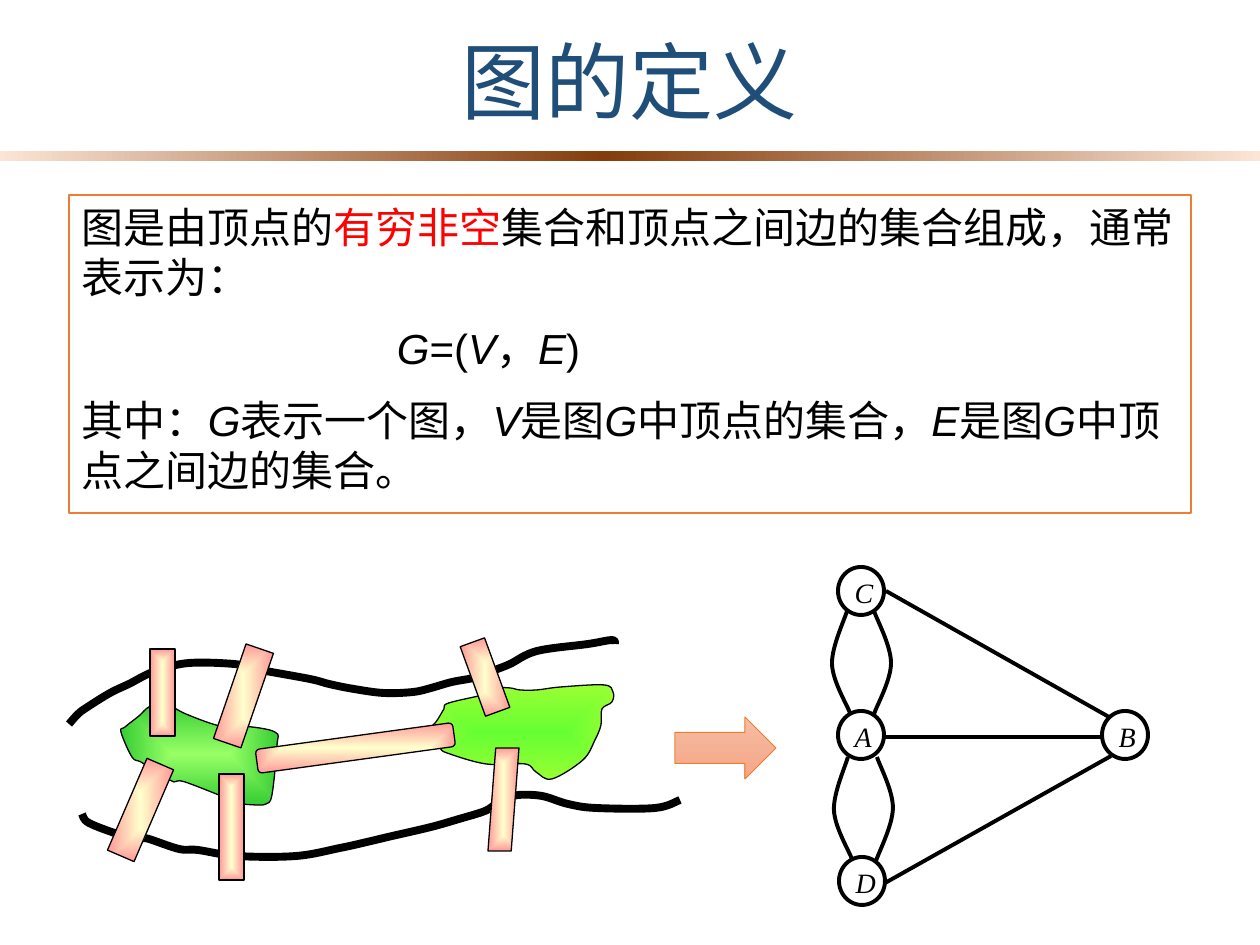
"""Build the slide that defines a graph, with the seven bridges as example."""
from dataclasses import dataclass

from lxml import etree
from pptx import Presentation
from pptx import util as u
from pptx.dml.color import RGBColor
from pptx.enum import shapes, text
from pptx.oxml import ns

UNIT = 914400 / 126
KIND = shapes.MSO_SHAPE
ALIGN = text.PP_ALIGN
ANCHOR = text.MSO_ANCHOR

BLACK = RGBColor(0x00, 0x00, 0x00)
WHITE = RGBColor(0xFF, 0xFF, 0xFF)
RED = RGBColor(0xFF, 0x00, 0x00)
NAVY = RGBColor(0x1F, 0x4E, 0x79)
ORANGE = RGBColor(0xED, 0x7D, 0x31)
PEACH = RGBColor(0xFB, 0xE5, 0xD6)
BROWN = RGBColor(0x84, 0x3C, 0x0B)
CREAM = RGBColor(0xFF, 0xFF, 0xCC)
PINK = RGBColor(0xFF, 0x99, 0x99)
LIME = RGBColor(0x99, 0xFF, 0x66)
GREEN = RGBColor(0x33, 0xCC, 0x33)
BRIGHT = RGBColor(0x66, 0xFF, 0x33)
YELLOW = RGBColor(0x99, 0xFF, 0x33)
SALMON = [(0, RGBColor(0xF7, 0xBD, 0xA5)), (50, RGBColor(0xF5, 0xB1, 0x96)),
          (100, RGBColor(0xF8, 0xA5, 0x82))]
HAN, SANS, SERIF = "Noto Sans CJK JP", "Arial", "Times New Roman"


@dataclass
class Box:
    left: int
    top: int
    wide: int
    high: int
    kind: KIND = KIND.RECTANGLE
    turn: float = 0
    bend: float | None = None


@dataclass
class Curve:
    dots: list[tuple[int, int]]
    width: float
    stops: list | None = None


@dataclass
class Node:
    name: str
    left: int
    top: int


BRIDGES = [
    Box(150, 649, 25, 87), Box(219, 774, 25, 106),
    Box(488, 748, 31, 103, KIND.PARALLELOGRAM, bend=0.25),
    Box(256, 736, 199, 24, KIND.ROUNDED_RECTANGLE, 352.2, 0.17),
    Box(126, 760, 29, 100, turn=23.3), Box(229, 646, 29, 100, turn=19),
    Box(472, 640, 26, 74, turn=160),
]
LAND = [
    Curve([(121, 732), (132, 757), (141, 762), (155, 771), (165, 777), (174, 782),
           (185, 782), (234, 801), (243, 804), (258, 805), (266, 804), (272, 795),
           (277, 746), (275, 732), (243, 726), (220, 726), (186, 714),
           (164, 703), (149, 707), (139, 716), (125, 727)],
          0.75, [(0, LIME), (100, GREEN)]),
    Curve([(69, 724), (78, 714), (86, 708), (110, 693), (131, 683), (140, 678),
           (158, 670), (189, 663), (234, 664), (255, 669), (310, 679), (329, 684),
           (354, 689), (384, 693), (413, 692), (431, 688), (452, 682), (478, 677),
           (495, 670), (510, 664), (537, 651), (588, 644), (612, 640), (615, 644)], 4.5),
    Curve([(82, 814), (89, 823), (121, 835), (140, 838), (149, 839), (179, 849),
           (198, 850), (237, 856), (296, 856), (340, 848), (367, 842), (388, 837),
           (431, 827), (459, 819), (485, 811), (496, 804), (509, 799), (518, 795),
           (542, 796), (568, 804), (596, 808), (655, 808), (680, 800)], 4.5),
    Curve([(491, 693), (449, 703), (444, 709), (436, 722), (426, 732), (427, 738),
           (440, 748), (447, 753), (486, 764), (525, 764), (536, 772), (552, 779),
           (583, 760), (595, 740), (601, 725), (602, 709), (612, 702), (613, 692),
           (604, 685), (561, 687), (537, 690), (520, 690), (510, 688), (495, 688)],
          0.75, [(0, BRIGHT), (100, YELLOW)]),
]
NODES = [Node("C", 838, 567), Node("A", 838, 711), Node("D", 839, 857), Node("B", 1102, 711)]
EDGES = [(886, 591, 1109, 717), (885, 737, 1101, 737), (885, 883, 1111, 756)]
ARCS = [
    Curve([(847, 611), (832, 664), (850, 713)], 2.25),
    Curve([(874, 611), (891, 663), (874, 714)], 2.25),
    Curve([(848, 757), (834, 810), (852, 859)], 2.25),
    Curve([(877, 757), (893, 808), (876, 861)], 2.25),
]


def px(size: float) -> int:
    return round(size * UNIT)


def blend(shape, stops: list, angle: int | None = None) -> None:
    shape.fill.gradient()
    grad = shape.element.spPr.find(ns.qn("a:gradFill"))
    for part in list(grad):
        grad.remove(part)
    row = etree.SubElement(grad, ns.qn("a:gsLst"))
    for place, tint in stops:
        stop = etree.SubElement(row, ns.qn("a:gs"), pos=str(place * 1000))
        etree.SubElement(stop, ns.qn("a:srgbClr"), val=str(tint))
    if angle is not None:
        etree.SubElement(grad, ns.qn("a:lin"), ang=str(angle * 60000), scaled="0")
        return
    way = etree.SubElement(grad, ns.qn("a:path"), path="rect")
    etree.SubElement(way, ns.qn("a:fillToRect"), dict.fromkeys("ltrb", "50000"))


def style(shape, tint: RGBColor | None, width: float = 0) -> None:
    shape.shadow.inherit = False
    if tint is None:
        shape.line.fill.background()
    else:
        shape.line.color.rgb = tint
        shape.line.width = u.Pt(width)


def draw(slide, box: Box, tint: RGBColor | None = None, width: float = 0):
    shape = slide.shapes.add_shape(box.kind, *map(px, (box.left, box.top, box.wide, box.high)))
    shape.rotation = box.turn
    if box.bend is not None:
        shape.adjustments[0] = box.bend
    style(shape, tint, width)
    return shape


def smooth(dots: list, closed: bool) -> list:
    """Return two handles and an end for each curve through the dots."""
    ring = [dots[-1], *dots, *dots[:2]] if closed else [dots[0], *dots, dots[-1]]
    out = []
    for a, b, c, d in zip(ring, ring[1:], ring[2:], ring[3:]):
        out += [(b[0] + (c[0] - a[0]) / 6, b[1] + (c[1] - a[1]) / 6),
                (c[0] - (d[0] - b[0]) / 6, c[1] - (d[1] - b[1]) / 6), c]
    return out


def trace(slide, curve: Curve) -> None:
    closed = curve.stops is not None
    pen = slide.shapes.build_freeform(*map(px, curve.dots[0]))
    pen.add_line_segments([(px(x), px(y)) for x, y in smooth(curve.dots, closed)], close=closed)
    shape = pen.convert_to_shape()
    legs = list(shape.element.spPr.iter(ns.qn("a:lnTo")))
    for trio in zip(legs[::3], legs[1::3], legs[2::3]):
        bow = etree.Element(ns.qn("a:cubicBezTo"))
        trio[0].addprevious(bow)
        for leg in trio:
            bow.append(leg[0])
            leg.getparent().remove(leg)
    style(shape, BLACK, curve.width)
    if closed:
        blend(shape, curve.stops)
    else:
        shape.fill.background()


def setup(shape, pads: tuple, anchor: ANCHOR = ANCHOR.TOP):
    frame = shape.text_frame
    frame.word_wrap = True
    frame.vertical_anchor = anchor
    frame.margin_left, frame.margin_top, frame.margin_right, frame.margin_bottom = map(px, pads)
    return frame


def write(para, words: str, *, size: int, font: str, tint=BLACK, mark=BLACK,
          slant=False, align=ALIGN.LEFT, pitch=None, before=0, indent=0) -> None:
    """Write a paragraph, marking the pieces between bars by colour or slant."""
    para.alignment, para.line_spacing, para.space_before = align, pitch, u.Pt(before)
    if indent:
        para._p.get_or_add_pPr().set("marL", str(px(indent)))
    for spot, piece in enumerate(words.split("|")):
        if not piece:
            continue
        run = para.add_run()
        run.text = piece
        run.font.size, run.font.name = u.Pt(size), font
        run.font.italic = slant and spot % 2 == 1
        run.font.color.rgb = mark if spot % 2 else tint
        face = etree.SubElement(run.font._element, ns.qn("a:ea"))
        face.set("typeface", HAN)


def main() -> None:
    deck = Presentation()
    deck.slide_width, deck.slide_height = px(1260), px(945)
    slide = deck.slides.add_slide(deck.slide_layouts[6])

    band = draw(slide, Box(-1, 151, 1261, 10))
    blend(band, [(0, PEACH), (48, BROWN), (100, PEACH)], 0)
    title = slide.shapes.add_textbox(*map(px, (113, 24, 1034, 122)))
    write(setup(title, (13, 6, 13, 17), ANCHOR.MIDDLE).paragraphs[0], "图的定义",
          size=48, font=SANS, tint=NAVY, align=ALIGN.CENTER)

    panel = draw(slide, Box(69, 195, 1122, 318), ORANGE, 1)
    panel.fill.solid()
    panel.fill.fore_color.rgb = WHITE
    frame = setup(panel, (13, 7, 13, 6))
    form = dict(size=24, pitch=u.Pt(28.5))
    write(frame.paragraphs[0], "图是由顶点的|有穷非空|集合和顶点之间边的集合组成，通常表示为：",
          font=HAN, mark=RED, **form)
    write(frame.add_paragraph(), "|G|=(|V|，|E|)", font=SANS, slant=True,
          before=12, indent=315, **form)
    write(frame.add_paragraph(),
          "其中：|G|表示一个图，|V|是图|G|中顶点的集合，|E|是图|G|中顶点之间边的集合。",
          font=SANS, slant=True, before=13, **form)

    for curve in LAND:
        trace(slide, curve)
    for box in BRIDGES:
        blend(draw(slide, box, BLACK, 0.75), [(0, CREAM), (100, PINK)])

    for node in NODES:
        shape = draw(slide, Box(node.left, node.top, 46, 48, KIND.OVAL), BLACK, 2.25)
        shape.fill.background()
        write(setup(shape, (10, 8, 0, 0)).paragraphs[0], f"|{node.name}", size=16,
              font=SERIF, slant=True, align=ALIGN.JUSTIFY, pitch=0.8)
    for edge in EDGES:
        line = slide.shapes.add_connector(shapes.MSO_CONNECTOR.STRAIGHT, *map(px, edge))
        line.line.color.rgb, line.line.width = BLACK, u.Pt(2.25)
        etree.SubElement(line.element.spPr, ns.qn("a:effectLst"))
    for arc in ARCS:
        trace(slide, arc)
    blend(draw(slide, Box(675, 717, 101, 62, KIND.RIGHT_ARROW), ORANGE, 0.5), SALMON, 90)
    deck.save("out.pptx")


if __name__ == "__main__":
    main()
